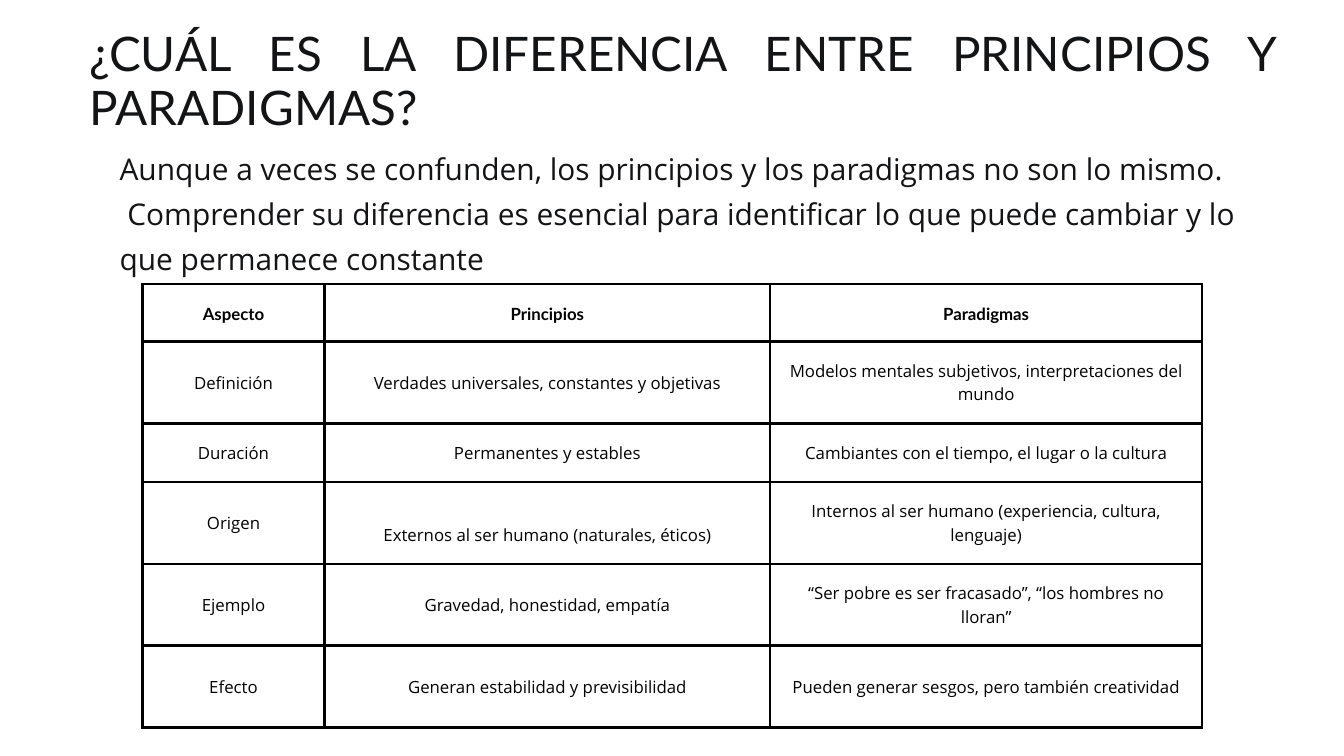
"""Build a slide comparing principles and paradigms in a table."""
from dataclasses import dataclass

from lxml import etree
from pptx import Presentation
from pptx.dml.color import RGBColor
from pptx.enum.text import MSO_ANCHOR, PP_ALIGN
from pptx.oxml.ns import qn
from pptx.util import Inches, Pt

LEFT, CENTER, JUSTIFY = PP_ALIGN.LEFT, PP_ALIGN.CENTER, PP_ALIGN.JUSTIFY
MIDDLE = MSO_ANCHOR.MIDDLE
COLORS = {"ink": "131416", "table": "000000"}
HEADING_FONT, BODY_FONT = "Lato", "Open Sans"

COLUMN_WIDTHS = (2.71, 6.63, 6.43)
ROW_HEIGHTS = (0.85, 1.22, 0.87, 1.22, 1.22, 1.22)
CELL_MARGIN, CELL_LEADING, BORDER_WIDTH = 0.21, 25.2, 3
ROWS = (
    ("Aspecto", "Principios", "Paradigmas"),
    ("Definición", "Verdades universales, constantes y objetivas",
     "Modelos mentales subjetivos, interpretaciones del mundo"),
    ("Duración", "Permanentes y estables",
     "Cambiantes con el tiempo, el lugar o la cultura"),
    ("Origen", "Externos al ser humano (naturales, éticos)",
     "Internos al ser humano (experiencia, cultura, lenguaje)"),
    ("Ejemplo", "Gravedad, honestidad, empatía",
     "“Ser pobre es ser fracasado”, “los hombres no lloran”"),
    ("Efecto", "Generan estabilidad y previsibilidad",
     "Pueden generar sesgos, pero también creatividad"),
)
LOWERED_CELL = (3, 1)


@dataclass(frozen=True)
class Style:
    """Paragraph formatting, with size and leading in points."""
    font: str
    size: float
    leading: float
    color: str
    align: PP_ALIGN = LEFT
    bold: bool = False


@dataclass(frozen=True)
class TextBlock:
    """A text box with its place in inches."""
    left: float
    top: float
    width: float
    height: float
    lines: tuple[str, ...]
    style: Style


TEXT_BLOCKS = (
    TextBlock(1.78, 2.11, 17.21, 1.97, (
        "Aunque a veces se confunden, los principios y los paradigmas no son lo mismo.",
        " Comprender su diferencia es esencial para identificar lo que puede cambiar "
        "y lo que permanece constante",
    ), Style(BODY_FONT, 32, 48, "ink")),
    TextBlock(1.33, 0.41, 17.66, 1.66,
              ("¿CUÁL ES LA DIFERENCIA ENTRE PRINCIPIOS Y PARADIGMAS?",),
              Style(HEADING_FONT, 51, 57.6, "ink", JUSTIFY)),
)
HEADER_STYLE = Style(HEADING_FONT, 18, CELL_LEADING, "table", CENTER, True)
CELL_STYLE = Style(BODY_FONT, 18, CELL_LEADING, "table", CENTER)


def write_lines(tf, lines: tuple[str, ...], style: Style) -> None:
    """Fill a text frame with one styled paragraph per line."""
    for i, line in enumerate(lines):
        p = tf.add_paragraph() if i else tf.paragraphs[0]
        p.text = line
        p.alignment = style.align
        p.line_spacing = Pt(style.leading)
        p.font.name = style.font
        p.font.size = Pt(style.size)
        p.font.bold = style.bold
        p.font.color.rgb = RGBColor.from_string(COLORS[style.color])


def add_text(slide, block: TextBlock) -> None:
    """Add a wrapped text box without margins."""
    sp = slide.shapes.add_textbox(Inches(block.left), Inches(block.top),
                                  Inches(block.width), Inches(block.height))
    tf = sp.text_frame
    tf.word_wrap = True
    tf.margin_left = tf.margin_right = tf.margin_top = tf.margin_bottom = 0
    write_lines(tf, block.lines, block.style)


def set_borders(cell) -> None:
    """Draw a solid line on every side of a cell."""
    tc_pr = cell._tc.get_or_add_tcPr()
    for side in ("lnL", "lnR", "lnT", "lnB"):
        ln = etree.SubElement(tc_pr, qn(f"a:{side}"), w=str(Pt(BORDER_WIDTH)))
        fill = etree.SubElement(ln, qn("a:solidFill"))
        etree.SubElement(fill, qn("a:srgbClr"), val=COLORS["table"])


def add_comparison(slide, left: float, top: float) -> None:
    """Add the comparison table."""
    table = slide.shapes.add_table(
        len(ROWS), len(COLUMN_WIDTHS), Inches(left), Inches(top),
        Inches(sum(COLUMN_WIDTHS)), Inches(sum(ROW_HEIGHTS))).table
    table.horz_banding = False
    table.first_row = False
    for column, width in zip(table.columns, COLUMN_WIDTHS):
        column.width = Inches(width)
    for r, (texts, height) in enumerate(zip(ROWS, ROW_HEIGHTS)):
        table.rows[r].height = Inches(height)
        for c, text in enumerate(texts):
            cell = table.cell(r, c)
            set_borders(cell)
            cell.fill.background()
            cell.vertical_anchor = MIDDLE
            cell.margin_left = cell.margin_right = Inches(CELL_MARGIN)
            cell.margin_top = cell.margin_bottom = Inches(CELL_MARGIN)
            if (r, c) == LOWERED_CELL:
                cell.margin_top = Inches(CELL_MARGIN) + Pt(CELL_LEADING)
            write_lines(cell.text_frame, (text,), CELL_STYLE if r else HEADER_STYLE)


def main() -> None:
    """Build and save the slide."""
    prs = Presentation()
    prs.slide_width, prs.slide_height = Inches(20), Inches(11.25)
    slide = prs.slides.add_slide(prs.slide_layouts[6])
    add_comparison(slide, 2.12, 4.23)
    for block in TEXT_BLOCKS:
        add_text(slide, block)
    prs.save("out.pptx")


if __name__ == "__main__":
    main()
